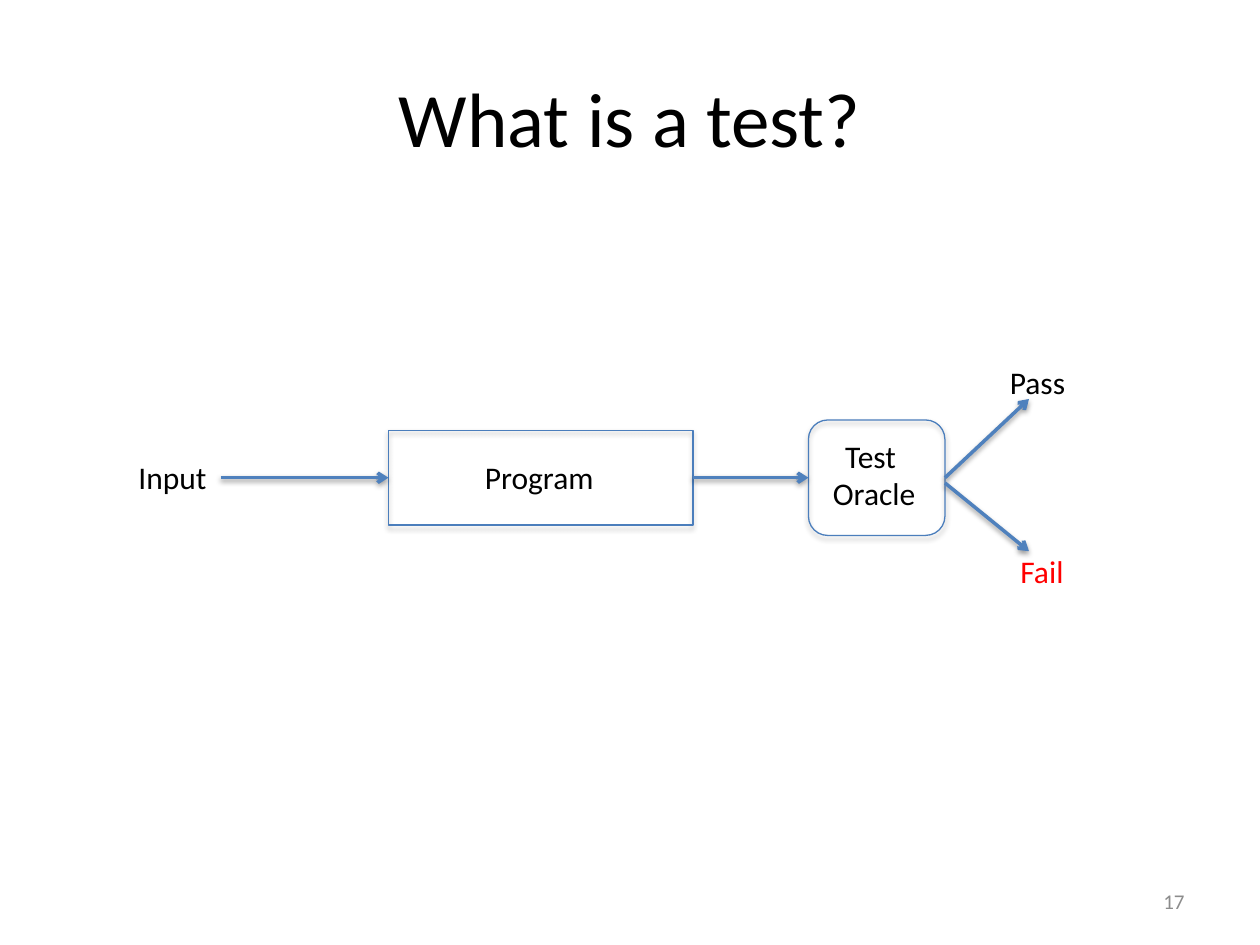
from dataclasses import dataclass

from lxml import etree
from pptx import Presentation
from pptx.dml.color import RGBColor as RGB
from pptx.enum.shapes import MSO_CONNECTOR as Connector, MSO_SHAPE as Preset
from pptx.enum.text import MSO_ANCHOR as Anchor, MSO_AUTO_SIZE as AutoSize, PP_ALIGN as Align
from pptx.oxml import parse_xml
from pptx.oxml.ns import nsdecls, qn
from pptx.util import Pt

TOP, LEFT, BOTTOM, RIGHT = range(4)  # connection sites of a rectangle


@dataclass(frozen=True)
class Theme:
    font: str = "Calibri"
    text: RGB = RGB(0x00, 0x00, 0x00)
    fail: RGB = RGB(0xFF, 0x00, 0x00)
    muted: RGB = RGB(0x8C, 0x8C, 0x8C)
    outline: RGB = RGB(0x4B, 0x7E, 0xBC)
    arrow: RGB = RGB(0x4F, 0x81, 0xBD)
    title_size: int = 44
    label_size: int = 18
    number_size: int = 12
    outline_width: float = 0.75
    arrow_width: float = 2


class SlideBuilder:
    def __init__(self, slide, theme):
        self.slide, self.theme = slide, theme

    def _write(self, frame, lines, size, color, align):
        frame.text = "\n".join(lines)
        for para in frame.paragraphs:
            para.alignment = align
            para.font.name = self.theme.font
            para.font.size = Pt(size)
            para.font.color.rgb = color

    def _shadow(self, shape, opacity, distance):
        shape._element.spPr.append(parse_xml(
            f'<a:effectLst {nsdecls("a")}>'
            f'<a:outerShdw blurRad="{Pt(3.1)}" dist="{Pt(distance)}" dir="5400000" rotWithShape="0">'
            f'<a:srgbClr val="000000"><a:alpha val="{opacity * 1000}"/></a:srgbClr>'
            '</a:outerShdw></a:effectLst>'))

    def title(self, text, left, top, width, height):
        title = self.slide.shapes.title
        title.left, title.top, title.width, title.height = map(Pt, (left, top, width, height))
        title.text_frame.vertical_anchor = Anchor.MIDDLE
        self._write(title.text_frame, [text], self.theme.title_size, self.theme.text, Align.CENTER)

    def label(self, lines, left, top, width, height, color=None, align=Align.LEFT):
        box = self.slide.shapes.add_textbox(*map(Pt, (left, top, width, height)))
        box.text_frame.word_wrap = False
        box.text_frame.auto_size = AutoSize.SHAPE_TO_FIT_TEXT
        self._write(box.text_frame, lines, self.theme.label_size, color or self.theme.text, align)

    def page_number(self, number, left, top, width, height):
        box = self.slide.shapes.add_textbox(*map(Pt, (left, top, width, height)))
        box.text_frame.word_wrap = True
        box.text_frame.vertical_anchor = Anchor.MIDDLE
        self._write(box.text_frame, [number], self.theme.number_size, self.theme.muted, Align.RIGHT)

    def outline(self, preset, left, top, width, height):
        box = self.slide.shapes.add_shape(preset, *map(Pt, (left, top, width, height)))
        box.fill.background()
        box.line.color.rgb = self.theme.outline
        box.line.width = Pt(self.theme.outline_width)
        self._shadow(box, 35, 1.8)
        return box

    def arrow(self, start, end, source=None, target=None):
        line = self.slide.shapes.add_connector(Connector.STRAIGHT, *map(Pt, start + end))
        if source is not None:
            line.begin_connect(source, RIGHT)
        if target is not None:
            line.end_connect(target, LEFT)
        line.line.color.rgb = self.theme.arrow
        line.line.width = Pt(self.theme.arrow_width)
        stroke = line._element.spPr.find(qn("a:ln"))
        etree.SubElement(stroke, qn("a:tailEnd"), type="arrow")
        self._shadow(line, 38, 1.6)


def main():
    deck = Presentation()
    deck.slide_width, deck.slide_height = Pt(720), Pt(540)
    page = deck.slides.add_slide(deck.slide_layouts[5])
    theme = Theme()
    build = SlideBuilder(page, theme)

    # Title and page number
    build.title("What is a test?", 36, 21.6, 648, 90)
    build.page_number("17", 516, 500.5, 168, 28.75)

    # Program and oracle, centred on one flow line
    flow = 273
    program = build.outline(Preset.RECTANGLE, 222, flow - 27, 174, 54)
    oracle = build.outline(Preset.ROUNDED_RECTANGLE, 462, flow - 33, 78, 66)
    build.label(["Program"], 270, 258, 78, 29)
    build.label(["Test ", "Oracle"], 468, 246, 63, 51, align=Align.CENTER)

    # Flow from input through program to oracle
    build.label(["Input"], 72, 258, 54, 29)
    build.arrow((126, flow), (222, flow), target=program)
    build.arrow((396, flow), (462, flow), program, oracle)

    # Verdicts
    build.arrow((540, flow), (588, 228), source=oracle)
    build.arrow((540, flow + 3), (588, 315))
    build.label(["Pass"], 570, 204, 47, 29)
    build.label(["Fail"], 576, 312, 40, 29, theme.fail)

    deck.save("out.pptx")


if __name__ == "__main__":
    main()
